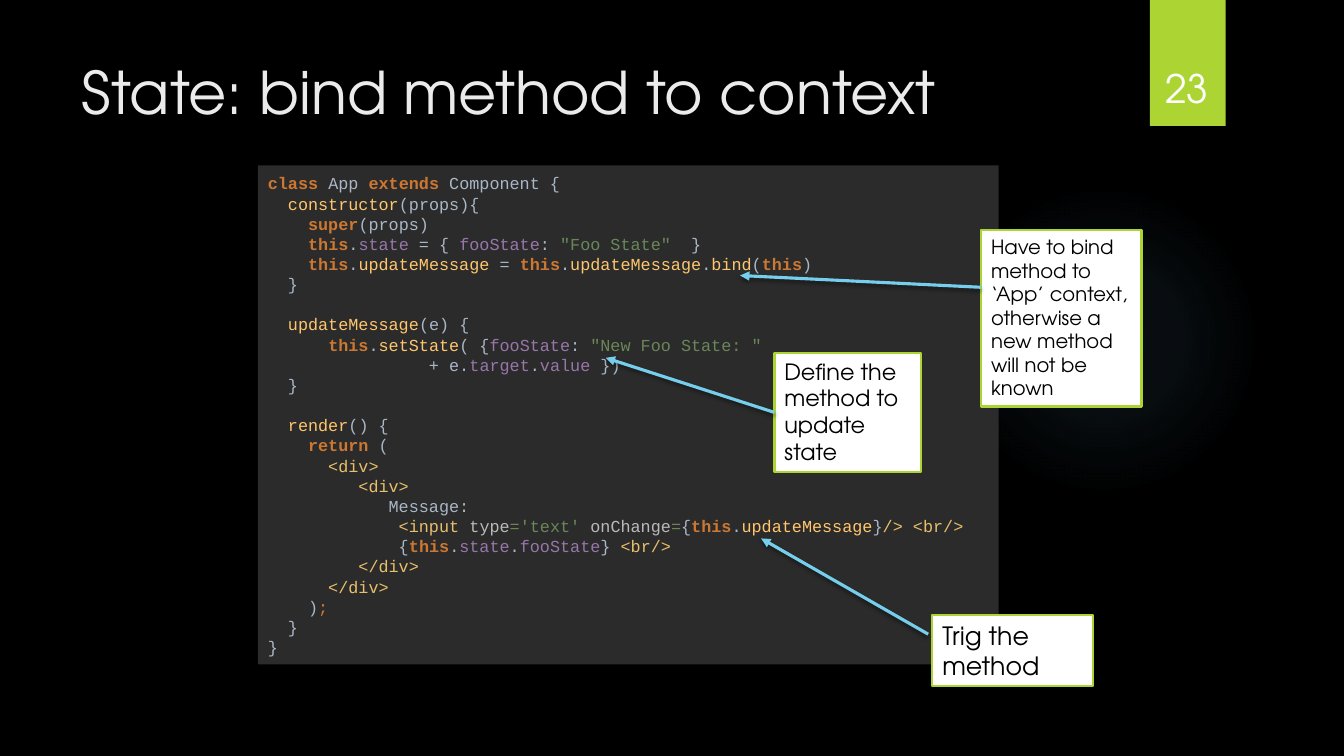
from pptx import Presentation
from pptx.dml.color import RGBColor
from pptx.enum.shapes import MSO_CONNECTOR, MSO_SHAPE
from pptx.enum.text import MSO_ANCHOR, PP_ALIGN
from pptx.oxml import parse_xml
from pptx.oxml.ns import nsdecls
from pptx.util import Pt

RECTANGLE, OVAL = MSO_SHAPE.RECTANGLE, MSO_SHAPE.OVAL
STRAIGHT = MSO_CONNECTOR.STRAIGHT
TOP, MIDDLE, BOTTOM = MSO_ANCHOR.TOP, MSO_ANCHOR.MIDDLE, MSO_ANCHOR.BOTTOM
LEFT, CENTER = PP_ALIGN.LEFT, PP_ALIGN.CENTER

BLACK = RGBColor(0x00, 0x00, 0x00)
WHITE = RGBColor(0xFF, 0xFF, 0xFF)
TITLE = RGBColor(0xEB, 0xEB, 0xEB)
LIME = RGBColor(0xAC, 0xD4, 0x33)
SKY = RGBColor(0x75, 0xCE, 0xEC)
GLOW = RGBColor(0x7A, 0xC4, 0xF0)
EDITOR = RGBColor(0x2B, 0x2B, 0x2B)
KEYWORD = RGBColor(0xCC, 0x78, 0x32)
PLAIN = RGBColor(0xA9, 0xB7, 0xC6)
METHOD = RGBColor(0xFF, 0xC6, 0x6D)
FIELD = RGBColor(0x98, 0x76, 0xAA)
STRING = RGBColor(0x6A, 0x87, 0x59)
TAG = RGBColor(0xE8, 0xBF, 0x6A)
ATTRIBUTE = RGBColor(0xBA, 0xBA, 0xBA)

THIS = [(KEYWORD, "this"), (PLAIN, ".")]

CLASS_HEAD = [
    [(KEYWORD, "class "), (PLAIN, "App "), (KEYWORD, "extends "), (PLAIN, "Component {")],
    [(METHOD, "  constructor"), (PLAIN, "(props){")],
    [(KEYWORD, "    super"), (PLAIN, "(props)")],
    [(PLAIN, "    "), *THIS, (FIELD, "state "), (PLAIN, "= { "), (FIELD, "fooState"),
     (PLAIN, ": "), (STRING, '"Foo State"  '), (PLAIN, "}")],
    [(PLAIN, "    "), *THIS, (METHOD, "updateMessage "), (PLAIN, "= "), *THIS,
     (METHOD, "updateMessage"), (PLAIN, "."), (METHOD, "bind"), (PLAIN, "("),
     (KEYWORD, "this"), (PLAIN, ")")],
    [(PLAIN, "  }")],
    [],
    [(METHOD, "  updateMessage"), (PLAIN, "(e) {")],
    [(PLAIN, "      "), *THIS, (METHOD, "setState"), (PLAIN, "( {"), (FIELD, "fooState"),
     (PLAIN, ": "), (STRING, '"New Foo State: "')],
]
CLASS_REST = [
    [(PLAIN, "                + e."), (FIELD, "target"), (PLAIN, "."), (FIELD, "value "),
     (PLAIN, "})")],
    [(PLAIN, "  }")],
    [],
    [(METHOD, "  render"), (PLAIN, "() {")],
    [(KEYWORD, "    return "), (PLAIN, "(")],
    [(TAG, "      <div>")],
    [(TAG, "         <div>")],
    [(PLAIN, "            Message:")],
    [(TAG, "             <input "), (ATTRIBUTE, "type"), (STRING, "='text' "),
     (ATTRIBUTE, "onChange"), (STRING, "="), (PLAIN, "{"), *THIS,
     (METHOD, "updateMessage"), (PLAIN, "}"), (TAG, "/> <br/>")],
    [(PLAIN, "             {"), *THIS, (FIELD, "state"), (PLAIN, "."), (FIELD, "fooState"),
     (PLAIN, "} "), (TAG, "<br/>")],
    [(TAG, "         </div>")],
    [(TAG, "      </div>")],
    [(PLAIN, "    )"), (KEYWORD, ";")],
    [(PLAIN, "  }")],
    [(PLAIN, "}")],
]

CALLOUTS = [
    ("Have to bind method to ‘App’ context, otherwise a new method will not be known", 14,
     (116.8, 27.4, 19.1, 21), (116.8, 34.2), (88.1, 32.8)),
    ("Trig the method", 18, (111, 73.2, 19.1, 8.5), (110.5, 75.5), (90.6, 64.1)),
    ("Define the method to update state", 16,
     (92.2, 42, 17.4, 14.2), (92.2, 49.1), (72.1, 42.6)),
]


class CodeSlide:
    """Draws a dark code slide on a grid of 160 columns by 90 rows."""

    cell = 76200
    text_font = "TeX Gyre Adventor"
    code_font = "Courier New"

    def __init__(self, deck):
        deck.slide_width, deck.slide_height = 160 * self.cell, 90 * self.cell
        self.page = deck.slides.add_slide(deck.slide_layouts[6])
        self.page.background.fill.solid()
        self.page.background.fill.fore_color.rgb = BLACK

    def place(self, lengths):
        return [round(length * self.cell) for length in lengths]

    def style(self, span, font, size, colour, bold=False):
        span.font.name, span.font.size, span.font.bold = font, Pt(size), bold
        span.font.color.rgb = colour

    def set_text(self, box, text, size, colour, anchor=TOP, align=LEFT):
        frame = box.text_frame
        frame.word_wrap, frame.vertical_anchor = True, anchor
        frame.text = text
        para = frame.paragraphs[0]
        para.alignment = align
        self.style(para.runs[0], self.text_font, size, colour)

    def label(self, area, text, size, colour, **layout):
        box = self.page.shapes.add_textbox(*self.place(area))
        self.set_text(box, text, size, colour, **layout)

    def panel(self, area, fill, border=None, kind=RECTANGLE):
        box = self.page.shapes.add_shape(kind, *self.place(area))
        box.fill.solid()
        box.fill.fore_color.rgb = fill
        if border is None:
            box.line.fill.background()
        else:
            box.line.color.rgb, box.line.width = border, Pt(1.5)
        box.shadow.inherit = False
        return box

    def glow(self, area):
        properties = self.panel(area, GLOW, kind=OVAL)._element.spPr
        stops = "".join(
            f'<a:gs pos="{position}000"><a:srgbClr val="{GLOW}">'
            f'<a:alpha val="{alpha}000"/></a:srgbClr></a:gs>'
            for position, alpha in ((0, 7), (36, 6), (69, 0)))
        gradient = parse_xml(
            f'<a:gradFill {nsdecls("a")} rotWithShape="1"><a:gsLst>{stops}</a:gsLst>'
            '<a:path path="circle"><a:fillToRect l="50000" t="50000" r="50000" b="50000"/>'
            '</a:path></a:gradFill>')
        properties.replace(properties.xpath("a:solidFill")[0], gradient)

    def cast_shadow(self, item):
        properties = item._element.spPr
        for effects in properties.xpath("a:effectLst"):
            properties.remove(effects)
        properties.append(parse_xml(
            f'<a:effectLst {nsdecls("a")}><a:outerShdw blurRad="38100" dist="25400" '
            'dir="5400000" rotWithShape="0"><a:srgbClr val="000000">'
            '<a:alpha val="45000"/></a:srgbClr></a:outerShdw></a:effectLst>'))

    def arrow(self, start, end):
        arrow = self.page.shapes.add_connector(STRAIGHT, *self.place(start + end))
        arrow.line.color.rgb, arrow.line.width = SKY, Pt(2.25)
        arrow._element.spPr.xpath("a:ln")[0].append(
            parse_xml(f'<a:tailEnd {nsdecls("a")} type="triangle"/>'))
        self.cast_shadow(arrow)

    def code(self, area, blocks):
        frame = self.panel(area, EDITOR).text_frame
        frame.word_wrap, frame.vertical_anchor = True, MIDDLE
        for number, block in enumerate(blocks):
            para = frame.add_paragraph() if number else frame.paragraphs[0]
            para.alignment, para.line_spacing = LEFT, Pt(14.4)
            for row, spans in enumerate(block):
                if row:
                    para.add_line_break()
                for colour, text in spans:
                    span = para.add_run()
                    span.text = text
                    bold = colour == KEYWORD and text != ";"
                    self.style(span, self.code_font, 12, colour, bold)

    def callout(self, text, size, area, start, end):
        self.set_text(self.panel(area, WHITE, LIME), text, size, BLACK)
        self.arrow(start, end)


def main():
    deck = Presentation()
    slide = CodeSlide(deck)
    slide.glow((112.9, 22, 37, 37))
    slide.cast_shadow(slide.panel((136.9, 0, 9, 15), LIME))
    slide.label((8.5, 6, 123.5, 18.4), "State: bind method to context", 42, TITLE)
    slide.label((135.8, 3.8, 11, 10.1), "23", 28, WHITE, anchor=BOTTOM, align=CENTER)
    slide.code((30.7, 19.7, 88.2, 59.4), [CLASS_HEAD, CLASS_REST])
    for callout in CALLOUTS:
        slide.callout(*callout)
    deck.save("out.pptx")


if __name__ == "__main__":
    main()
